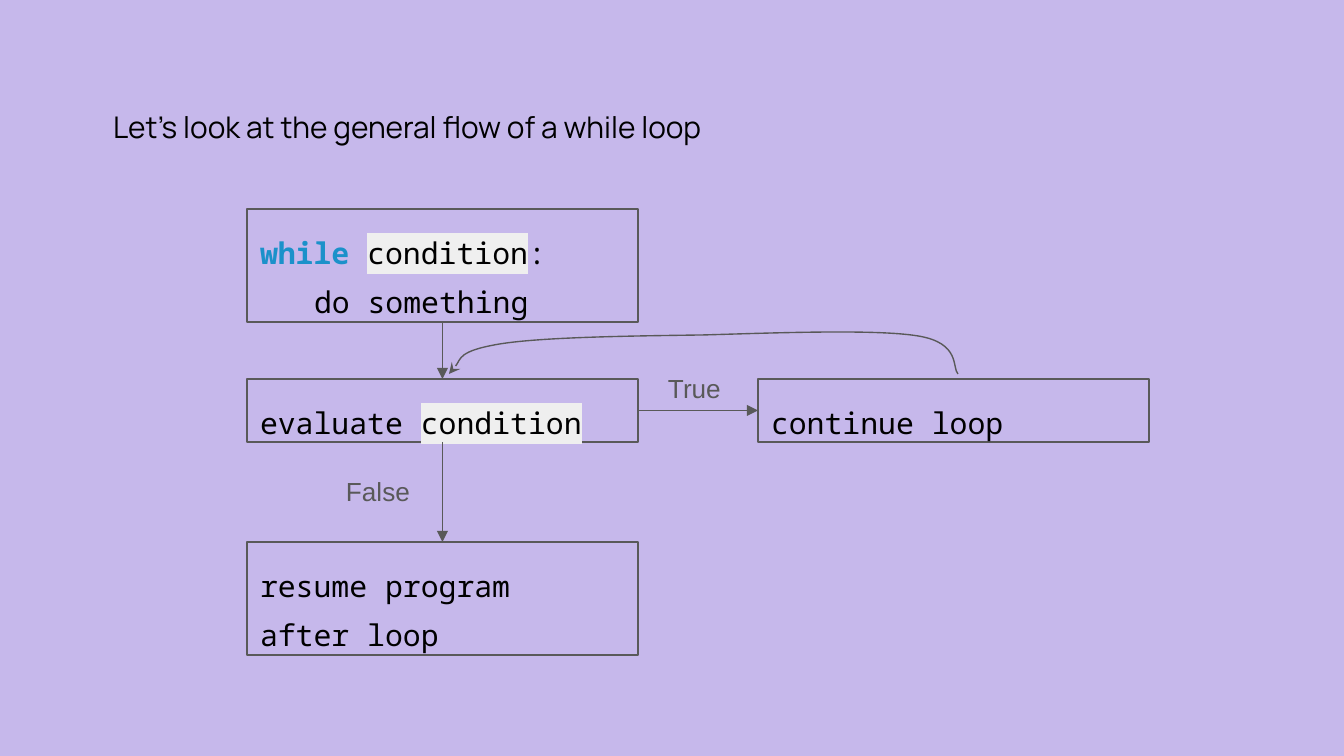
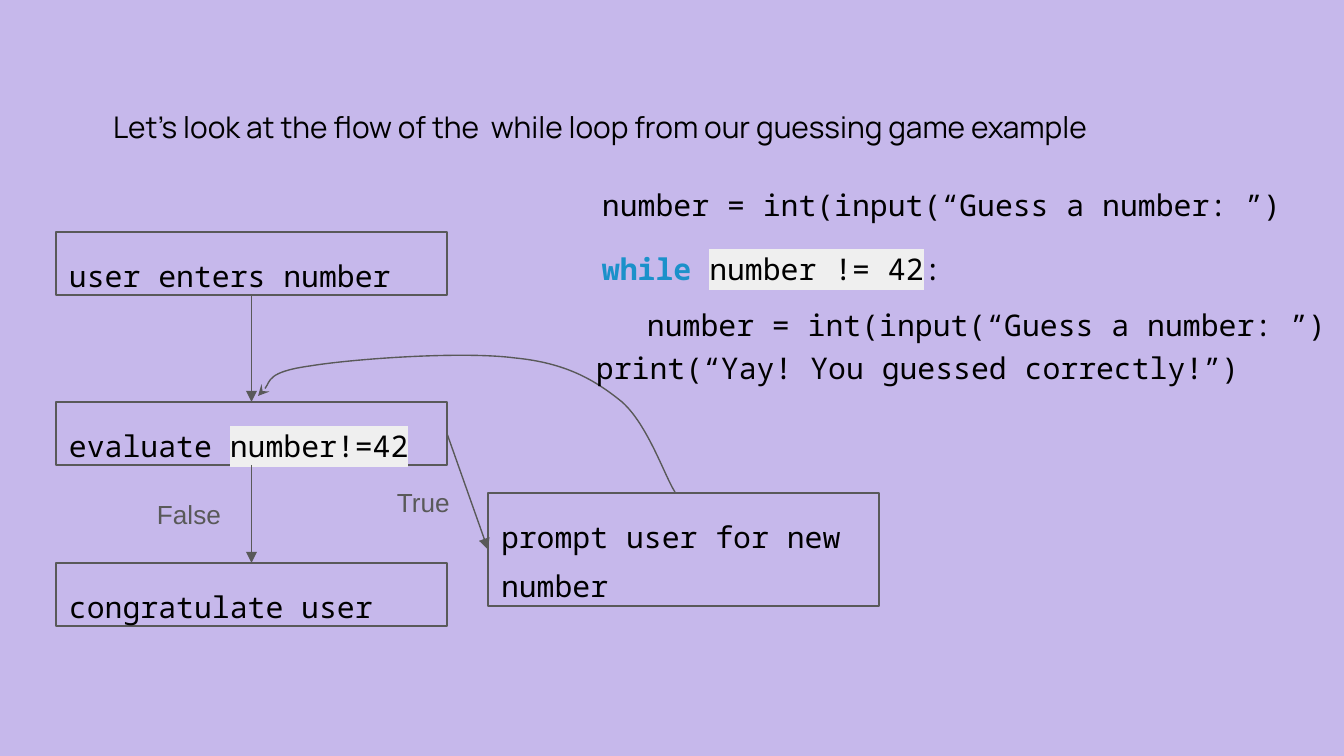
from lxml import etree
from pptx import Presentation
from pptx import util as u
from pptx.dml.color import RGBColor
from pptx.enum import shapes, text
from pptx.oxml.ns import qn

SCALE = 914400 / 134.4  # EMU in one px
PAGE_W, PAGE_H = 1344, 756
BOX_W, ONE_LINE, TWO_LINES = 391, 63, 113
INSET = 13
TOP, LEFT, BOTTOM, RIGHT = range(4)

COLORS = {"page": "C6B8EB", "ink": "000000", "keyword": "1B91CA",
          "mark": "EFEFEF", "line": "595959"}

# style: font, size, colour, bold, highlight
STYLES = {
    "title": ("Manrope", 16, "ink", False, None),
    "code": ("Noto Sans Mono", 16, "ink", False, None),
    "keyword": ("Noto Sans Mono", 16, "keyword", True, None),
    "mark": ("Noto Sans Mono", 16, "ink", False, "mark"),
    "label": ("Arial", 14, "line", False, None),
}

# Content: a paragraph is (indent, [(words, style), ...])
PAGES = [
    {
        "title": "Let’s look at the general flow of a while loop",
        "boxes": {
            "loop": (247, 209, TWO_LINES, [
                (0, [("while ", "keyword"), ("condition", "mark"), (":", "code")]),
                (54, [("do something", "code")])]),
            "evaluate": (247, 379, ONE_LINE, [
                (0, [("evaluate ", "code"), ("condition", "mark")])]),
            "continue": (758, 379, ONE_LINE, [(0, [("continue loop", "code")])]),
            "resume": (247, 542, TWO_LINES, [
                (0, [("resume program", "code")]),
                (0, [("after loop", "code")])]),
        },
        "arrows": [("loop", BOTTOM, "evaluate", TOP),
                   ("evaluate", RIGHT, "continue", LEFT),
                   ("evaluate", BOTTOM, "resume", TOP)],
        "labels": [("True", 655, 359), ("False", 333, 462)],
        "code": [],
        "back": [(958, 374),
                 (952, 368), (961, 343), (918, 336),
                 (876, 329), (774, 333), (704, 335),
                 (634, 336), (543, 337), (500, 344),
                 (458, 351), (457, 368), (449, 374)],
    },
    {
        "title": "Let’s look at the flow of the  while loop from our guessing game example",
        "boxes": {
            "enter": (56, 232, ONE_LINE, [(0, [("user enters number", "code")])]),
            "evaluate": (56, 402, ONE_LINE, [
                (0, [("evaluate ", "code"), ("number!=42", "mark")])]),
            "congratulate": (56, 563, ONE_LINE, [(0, [("congratulate user", "code")])]),
            "prompt": (488, 493, TWO_LINES, [
                (0, [("prompt user for new number", "code")])]),
        },
        "arrows": [("enter", BOTTOM, "evaluate", TOP),
                   ("evaluate", BOTTOM, "congratulate", TOP),
                   ("evaluate", RIGHT, "prompt", LEFT)],
        "labels": [("False", 144, 485), ("True", 384, 473)],
        "code": [
            (589, 161, [("number = int(input(“Guess a number: ”)", "code")]),
            (589, 225, [("while ", "keyword"), ("number != 42", "mark"), (":", "code")]),
            (634, 281, [("number = int(input(“Guess a number: ”)", "code")]),
            (583, 324, [("print(“Yay! You guessed correctly!”)", "code")]),
        ],
        "back": [(675, 492),
                 (665, 477), (648, 425), (622, 402),
                 (595, 380), (566, 363), (515, 358),
                 (462, 351), (352, 359), (310, 366),
                 (267, 372), (267, 391), (258, 396)],
    },
]


def px(*lengths):
    return [u.Emu(round(length * SCALE)) for length in lengths]


def color(name):
    return RGBColor.from_string(COLORS[name])


def write(shape, paras, spacing=1.36):
    frame = shape.text_frame
    frame.word_wrap = True
    frame.auto_size = text.MSO_AUTO_SIZE.NONE
    frame.vertical_anchor = text.MSO_ANCHOR.TOP
    frame.margin_left, frame.margin_top, frame.margin_right, frame.margin_bottom = px(*[INSET] * 4)
    for number, (indent, spans) in enumerate(paras):
        para = frame.add_paragraph() if number else frame.paragraphs[0]
        para.alignment = text.PP_ALIGN.LEFT
        para.line_spacing = spacing
        para.space_before = para.space_after = u.Pt(0)
        if indent:
            para._p.get_or_add_pPr().set("marL", str(px(indent)[0]))
        for words, style in spans:
            add_span(para, words, style)


def add_span(para, words, style):
    name, size, ink, bold, highlight = STYLES[style]
    span = para.add_run()
    span.text = words
    font = span.font
    font.size, font.bold = u.Pt(size), bold
    font.color.rgb = color(ink)
    if highlight:
        mark = etree.Element(qn("a:highlight"))
        etree.SubElement(mark, qn("a:srgbClr")).set("val", COLORS[highlight])
        font._element.find(qn("a:solidFill")).addnext(mark)
    font.name = name


def draw_line(shape, head=None):
    shape.line.color.rgb = color("line")
    shape.line.width = u.Pt(0.75)
    if head:
        tail = etree.SubElement(shape.line._get_or_add_ln(), qn("a:tailEnd"))
        tail.set("type", head)


def add_box(page, left, top, height, paras):
    box = page.shapes.add_shape(shapes.MSO_SHAPE.RECTANGLE, *px(left, top, BOX_W, height))
    box.shadow.inherit = False
    box.fill.background()
    draw_line(box)
    write(box, paras)
    return box


def add_arrow(page, start, start_side, end, end_side):
    arrow = page.shapes.add_connector(shapes.MSO_CONNECTOR.STRAIGHT, 0, 0, 0, 0)
    arrow.begin_connect(start, start_side)
    arrow.end_connect(end, end_side)
    draw_line(arrow, "triangle")
    etree.SubElement(arrow._element.spPr, qn("a:effectLst"))


def add_back_curve(page, points):
    builder = page.shapes.build_freeform(*points[0], scale=SCALE)
    builder.add_line_segments(points[1:], close=False)
    curve = builder.convert_to_shape()
    # Every three points become one Bézier segment
    steps = list(curve._element.iter(qn("a:lnTo")))
    for first in range(0, len(steps), 3):
        bend = etree.Element(qn("a:cubicBezTo"))
        steps[first].addprevious(bend)
        for step in steps[first:first + 3]:
            bend.append(step[0])
            step.getparent().remove(step)
    curve.shadow.inherit = False
    curve.fill.background()
    draw_line(curve, "stealth")


def add_text(page, left, top, width, height, spans, spacing=1.36):
    box = page.shapes.add_textbox(*px(left, top, width, height))
    write(box, [(0, spans)], spacing)


def add_page(deck, content):
    page = deck.slides.add_slide(deck.slide_layouts[5])
    # Title
    title = page.shapes.title
    title.left, title.top, title.width, title.height = px(100, 83, 1124, ONE_LINE)
    write(title, [(0, [(content["title"], "title")])])
    # Flow chart
    boxes = {name: add_box(page, *spot) for name, spot in content["boxes"].items()}
    for start, start_side, end, end_side in content["arrows"]:
        add_arrow(page, boxes[start], start_side, boxes[end], end_side)
    add_back_curve(page, content["back"])
    for words, left, top in content["labels"]:
        add_text(page, left, top, 109, 59, [(words, "label")], 1.0)
    # Code lines, each reaching to the right edge
    for left, top, spans in content["code"]:
        add_text(page, left, top, PAGE_W - left, ONE_LINE, spans)


def main():
    deck = Presentation()
    deck.slide_width, deck.slide_height = px(PAGE_W, PAGE_H)
    fill = deck.slide_master.background.fill
    fill.solid()
    fill.fore_color.rgb = color("page")
    for content in PAGES:
        add_page(deck, content)
    deck.save("out.pptx")


if __name__ == "__main__":
    main()
